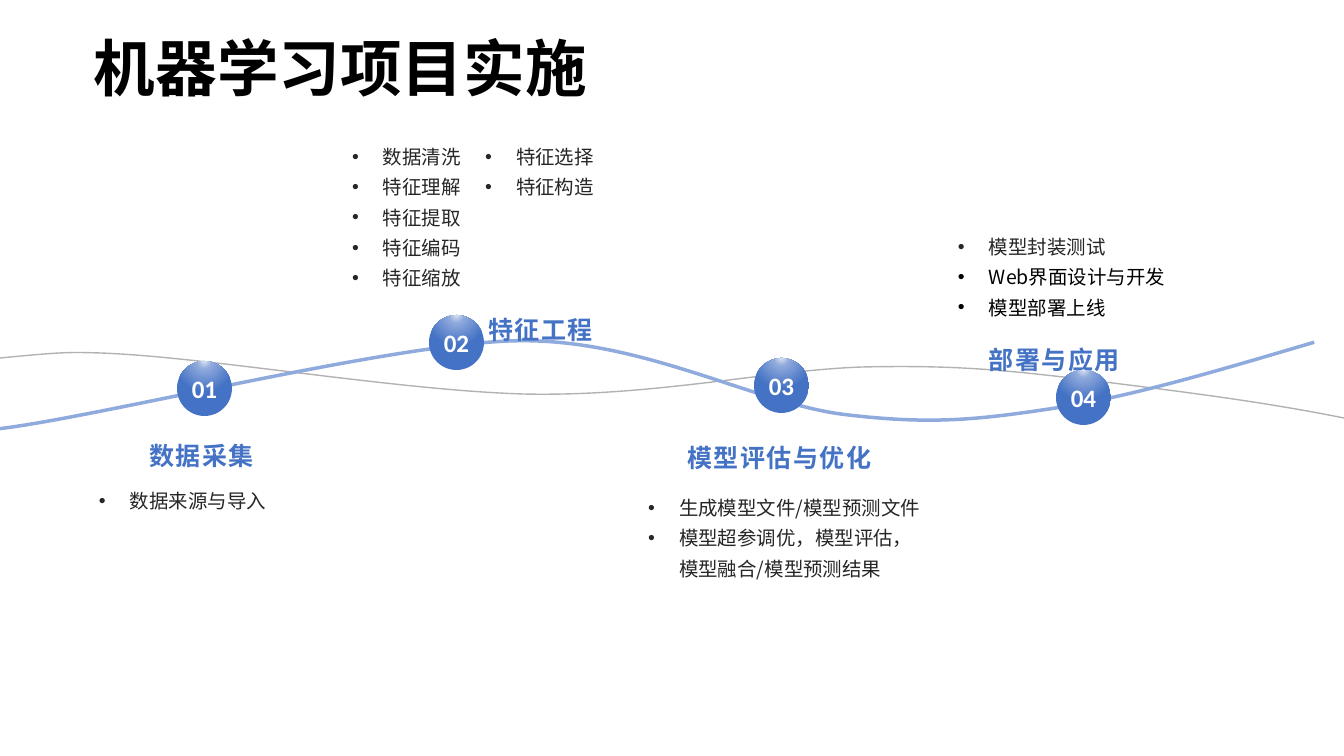
from lxml.etree import SubElement
from pptx import Presentation
from pptx.dml.color import RGBColor
from pptx.enum.shapes import MSO_SHAPE
from pptx.enum.text import MSO_ANCHOR, PP_ALIGN
from pptx.oxml import parse_xml
from pptx.oxml.ns import nsdecls, qn
from pptx.util import Emu, Pt

WIDTH, HEIGHT = 1344, 756
SCALE = 12192000 / WIDTH
BALL, LABEL_W, LABEL_H, INDENT = 55, 283, 43, 31

THIN_WAVE = [(0, 6), (62, 0), (68, 0), (101, 1), (208, 5), (394, 38),
             (523, 42), (652, 45), (769, 18), (863, 15), (956, 13), (1002, 18),
             (1081, 27), (1160, 37), (1255, 48), (1344, 66)]
BOLD_WAVE = [(0, 187), (104, 166), (381, 73), (506, 60), (631, 47), (748, 103),
             (839, 108), (929, 112), (975, 103), (1053, 85), (1130, 67),
             (1217, 33), (1304, 0)]

STAGES = [
    ("01", (177, 361), "数据采集", (60, 434), (99, 482, 312, 142), 1,
     ["数据来源与导入"]),
    ("02", (429, 315), "特征工程", (399, 308), (352, 138, 266, 155), 2,
     ["数据清洗", "特征理解", "特征提取", "特征编码", "特征缩放", "特征选择", "特征构造"]),
    ("03", (754, 358), "模型评估与优化", (638, 436), (648, 489, 283, 110), 1,
     ["生成模型文件/模型预测文件", "模型超参调优，模型评估，模型融合/模型预测结果"]),
    ("04", (1056, 370), "部署与应用", (913, 338), (958, 228, 283, 100), 1,
     ["模型封装测试", "Web界面设计与开发", "模型部署上线"]),
]
BLACK_ITEMS = {"Web界面设计与开发", "模型部署上线"}


def px(n):
    return Emu(round(n * SCALE))


def rgb(color):
    return RGBColor.from_string(color)


class Deck:
    """Hold the style and the current slide, and draw each kind of element."""

    cjk, latin = "Noto Sans CJK SC", "Calibri"
    blue, ink, black, white = "4472C4", "262626", "000000", "FFFFFF"
    glow = [(0, "DAE3F3"), (21, "8FAADC"), (80, "4472C4")]

    def __init__(self):
        self.prs = Presentation()
        self.prs.slide_width, self.prs.slide_height = px(WIDTH), px(HEIGHT)
        self.s = self.prs.slides.add_slide(self.prs.slide_layouts[6])

    def style(self, p, size, font, color, bold=False, spacing=None):
        for r in p.runs:
            r.font.size, r.font.name, r.font.bold = Pt(size), font, bold
            r.font.color.rgb = rgb(color)
            rPr = r.font._element
            SubElement(rPr, qn("a:ea")).set("typeface", self.cjk)
            if spacing:
                rPr.set("spc", str(spacing))

    def margins(self, tf):
        tf.margin_left = tf.margin_top = tf.margin_right = tf.margin_bottom = 0

    def title(self, box, text):
        tf = self.s.shapes.add_textbox(*map(px, box)).text_frame
        tf.word_wrap, tf.vertical_anchor = True, MSO_ANCHOR.MIDDLE
        tf.text = text
        p = tf.paragraphs[0]
        p.line_spacing = 0.9
        self.style(p, 44, self.cjk, self.black, bold=True)

    def wave(self, box, nodes, color, width, rotation=0, opacity=100):
        left, top, w, h = box
        builder = self.s.shapes.build_freeform(0, 0, scale=SCALE)
        builder.add_line_segments([(w, h)], close=False)
        sp = builder.convert_to_shape(px(left), px(top))
        outline = sp._element.find(".//" + qn("a:path"))
        for child in list(outline):
            outline.remove(child)
        self.points(outline, "a:moveTo", nodes[:1])
        for i in range(1, len(nodes), 3):
            self.points(outline, "a:cubicBezTo", nodes[i:i + 3])
        sp.rotation = rotation
        sp.shadow.inherit = False
        sp.fill.background()
        sp.line.color.rgb, sp.line.width = rgb(color), Pt(width)
        if opacity < 100:
            clr = sp.line._ln.find(".//" + qn("a:srgbClr"))
            SubElement(clr, qn("a:alpha")).set("val", str(opacity * 1000))

    def points(self, outline, tag, nodes):
        command = SubElement(outline, qn(tag))
        for x, y in nodes:
            pt = SubElement(command, qn("a:pt"))
            pt.set("x", str(x))
            pt.set("y", str(y))

    def centred(self, kind, box, text, color, wrap, spacing=None):
        sp = self.s.shapes.add_shape(kind, *map(px, box))
        sp.shadow.inherit = False
        sp.line.fill.background()
        tf = sp.text_frame
        self.margins(tf)
        tf.word_wrap, tf.vertical_anchor = wrap, MSO_ANCHOR.MIDDLE
        tf.text = text
        p = tf.paragraphs[0]
        p.alignment = PP_ALIGN.CENTER
        self.style(p, 17.9, self.latin, color, bold=True, spacing=spacing)
        return sp

    def label(self, at, text):
        sp = self.centred(MSO_SHAPE.ROUNDED_RECTANGLE, (*at, LABEL_W, LABEL_H),
                          text, self.blue, True, 110)
        sp.adjustments[0] = 0.5
        sp.fill.background()

    def ball(self, at, text):
        sp = self.centred(MSO_SHAPE.OVAL, (*at, BALL, BALL), text, self.white, False)
        stops = "".join(f'<a:gs pos="{pos * 1000}"><a:srgbClr val="{color}"/></a:gs>'
                        for pos, color in self.glow)
        sp._element.spPr.insert(2, parse_xml(
            f'<a:gradFill {nsdecls("a")} rotWithShape="1"><a:gsLst>{stops}</a:gsLst>'
            '<a:path path="circle"><a:fillToRect l="50000" t="-80000" r="50000" '
            'b="180000"/></a:path></a:gradFill>'))

    def bullets(self, box, items, columns):
        tf = self.s.shapes.add_textbox(*map(px, box)).text_frame
        tf.word_wrap = True
        self.margins(tf)
        if columns > 1:
            tf._txBody.bodyPr.set("numCol", str(columns))
        tf.text = "\n".join(items)
        for p in tf.paragraphs:
            p.line_spacing = 1.3
            pPr = p._p.get_or_add_pPr()
            pPr.set("marL", str(px(INDENT)))
            pPr.set("indent", str(-px(INDENT)))
            SubElement(pPr, qn("a:buFont")).set("typeface", "Arial")
            SubElement(pPr, qn("a:buChar")).set("char", "•")
            color = self.black if p.text in BLACK_ITEMS else self.ink
            self.style(p, 13.9, self.cjk, color)


def main():
    deck = Deck()
    deck.title((84, 31, 833, 81), "机器学习项目实施")
    deck.wave((0, 352, 1344, 66), THIN_WAVE, "808080", 1, opacity=60)
    deck.wave((5, 292, 1304, 187), BOLD_WAVE, "8FAADC", 2.5, rotation=4.4)
    for number, ball_at, name, label_at, box, columns, items in STAGES:
        deck.bullets(box, items, columns)
        deck.label(label_at, name)
        deck.ball(ball_at, number)
    deck.prs.save("out.pptx")


if __name__ == "__main__":
    main()
